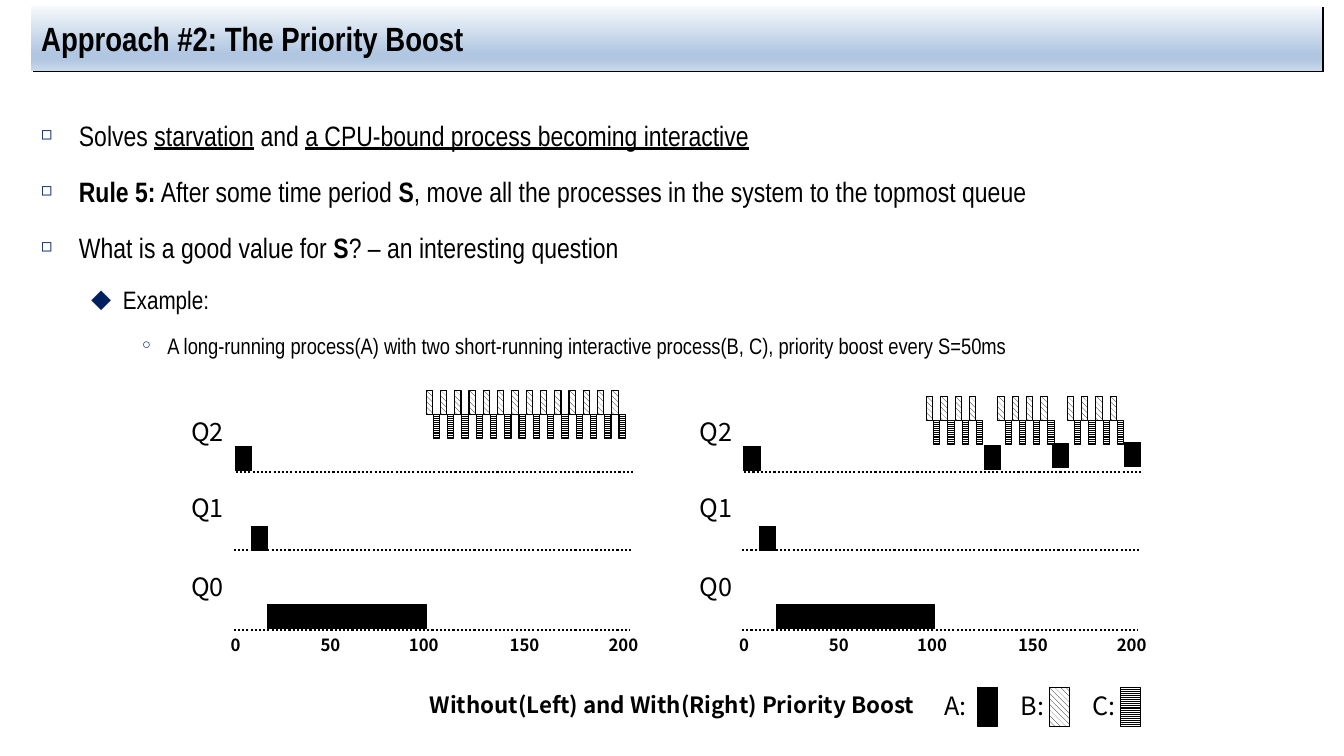
from dataclasses import dataclass

from lxml import etree
from pptx import Presentation, util as u
from pptx.dml.color import RGBColor
from pptx.enum import dml, shapes, text
from pptx.oxml import parse_xml
from pptx.oxml.ns import nsdecls, qn
from pptx.shapes.autoshape import Shape
from pptx.shapes.shapetree import GroupShapes, SlideShapes
from pptx.slide import Slide
from pptx.text.text import _Paragraph as Paragraph

COLORS = {"ink": "000000", "paper": "FFFFFF", "bullet": "002060"}
TITLE_GRADIENT = {0: "F6F9FC", 74: "B0C6E1", 83: "B0C6E1", 100: "CAD9EB"}
BODY_FONT, CHART_FONT = "Arial Narrow", "Noto Sans CJK KR"
PATTERNS = {
    "B": dml.MSO_PATTERN.WIDE_DOWNWARD_DIAGONAL,
    "C": dml.MSO_PATTERN.LIGHT_HORIZONTAL,
}
BAR_HEIGHT, PULSE_WIDTH, PULSE_PITCH, SLICE_WIDTH = 0.61, 0.16, 0.36, 0.41
QUEUE_LABEL_TOPS = {"Q2": 10.36, "Q1": 12.27, "Q0": 14.27}
TIME_CENTERS = {"0": 0, "50": 2.39, "100": 4.74, "150": 7.28, "200": 9.77}


@dataclass
class Span:
    text: str
    bold: bool = False
    underline: bool = False


@dataclass
class Level:
    indent: float
    hanging: float
    size: int
    bullet: str
    bullet_percent: int
    bullet_font: str = BODY_FONT


@dataclass
class Bar:
    process: str
    left: float
    top: float
    width: float = SLICE_WIDTH
    height: float = BAR_HEIGHT


@dataclass
class Baseline:
    start: float
    end: float
    top: float


@dataclass
class Panel:
    """Horizontal lengths inside a panel count from its time origin."""
    origin: float
    pulse_top: float
    bursts: list[float]
    pulses_per_burst: int
    boosts: list[Bar]


@dataclass
class LegendEntry:
    process: str
    label_center: float
    swatch_left: float


LEVELS = [
    Level(0.95, 0.95, 20, "◻", 65),
    Level(2.06, 0.79, 18, "◆", 80, CHART_FONT),
    Level(3.18, 0.64, 16, "○", 65),
]
BODY = [
    (0, [Span("Solves "), Span("starvation", underline=True), Span(" and "),
         Span("a CPU-bound process becoming interactive", underline=True)]),
    (0, [Span("Rule 5:", bold=True), Span(" After some time period "), Span("S", bold=True),
         Span(", move all the processes in the system to the topmost queue")]),
    (0, [Span("What is a good value for "), Span("S", bold=True),
         Span("? – an interesting question")]),
    (1, [Span("Example:")]),
    (2, [Span("A long-running process(A) with two short-running interactive process(B, C), "
              "priority boost every S=50ms")]),
]
BASELINES = [Baseline(0, 10, 11.89), Baseline(-0.05, 9.96, 13.87), Baseline(-0.05, 9.94, 15.88)]
LONG_JOB = [Bar("A", 0, 11.25), Bar("A", 0.39, 13.26), Bar("A", 0.81, 15.24, width=3.99)]
PANELS = [
    Panel(5.94, 9.83, [4.8], 14, []),
    Panel(18.75, 9.98, [4.6, 6.4, 8.15], 4,
          [Bar("A", 6.05, 11.23), Bar("A", 7.77, 11.18), Bar("A", 9.58, 11.15)]),
]
LEGEND = [
    LegendEntry("A", 24.08, 24.64),
    LegendEntry("B", 26.02, 26.44),
    LegendEntry("C", 27.83, 28.24),
]


def rgb(name: str) -> RGBColor:
    return RGBColor.from_string(COLORS[name])


def set_font(paragraph: Paragraph, name: str, size: float, bold: bool = False) -> None:
    font = paragraph.font
    font.name, font.size, font.bold = name, u.Pt(size), bold
    font.color.rgb = rgb("ink")


def add_title(slide: Slide) -> None:
    shape = slide.shapes.add_shape(shapes.MSO_SHAPE.RECTANGLE,
                                   u.Cm(0.79), u.Cm(0.15), u.Cm(32.54), u.Cm(1.63))
    shape.line.fill.background()
    stops = "".join(f'<a:gs pos="{position * 1000}"><a:srgbClr val="{color}"/></a:gs>'
                    for position, color in TITLE_GRADIENT.items())
    gradient = parse_xml(f'<a:gradFill {nsdecls("a")} rotWithShape="1"><a:gsLst>{stops}</a:gsLst>'
                         '<a:lin ang="5400000" scaled="0"/></a:gradFill>')
    shadow = parse_xml(f'<a:effectLst {nsdecls("a")}><a:outerShdw dist="17780" dir="2700000" '
                       f'algn="ctr" rotWithShape="0"><a:srgbClr val="{COLORS["ink"]}"/>'
                       '</a:outerShdw></a:effectLst>')
    properties = shape._element.spPr
    properties.find(qn("a:prstGeom")).addnext(gradient)
    properties.append(shadow)
    frame = shape.text_frame
    frame.vertical_anchor = text.MSO_ANCHOR.MIDDLE
    paragraph = frame.paragraphs[0]
    paragraph.text = "Approach #2: The Priority Boost"
    paragraph.alignment = text.PP_ALIGN.LEFT
    set_font(paragraph, BODY_FONT, 24, bold=True)


def add_bullet(paragraph: Paragraph, level: Level) -> None:
    properties = paragraph._p.get_or_add_pPr()
    properties.set("marL", str(u.Cm(level.indent)))
    properties.set("indent", str(-u.Cm(level.hanging)))
    color = etree.SubElement(properties, qn("a:buClr"))
    etree.SubElement(color, qn("a:srgbClr"), val=COLORS["bullet"])
    etree.SubElement(properties, qn("a:buSzPct"), val=str(level.bullet_percent * 1000))
    etree.SubElement(properties, qn("a:buFont"), typeface=level.bullet_font)
    etree.SubElement(properties, qn("a:buChar"), char=level.bullet)


def add_body(slide: Slide) -> None:
    box = slide.shapes.add_textbox(u.Cm(0.79), u.Cm(2.44), u.Cm(32.54), u.Cm(15.29))
    frame = box.text_frame
    frame.word_wrap = True
    for index, (depth, spans) in enumerate(BODY):
        level = LEVELS[depth]
        paragraph = frame.add_paragraph() if index else frame.paragraphs[0]
        paragraph.level = depth
        add_bullet(paragraph, level)
        paragraph.line_spacing = 1.5
        paragraph.space_before = u.Pt(0.2 * level.size if index else 0)
        set_font(paragraph, BODY_FONT, level.size)
        for span in spans:
            run = paragraph.add_run()
            run.text = span.text
            run.font.bold, run.font.underline = span.bold, span.underline


def add_label(tree: SlideShapes | GroupShapes, label: str, left: float, top: float, width: float,
              height: float, size: int, bold: bool = False,
              alignment: text.PP_ALIGN = text.PP_ALIGN.CENTER) -> None:
    box = tree.add_textbox(u.Cm(left), u.Cm(top), u.Cm(width), u.Cm(height))
    box.text_frame.word_wrap = True
    paragraph = box.text_frame.paragraphs[0]
    paragraph.text, paragraph.alignment = label, alignment
    set_font(paragraph, CHART_FONT, size, bold)


def add_bar(tree: GroupShapes, bar: Bar, origin: float = 0) -> Shape:
    shape = tree.add_shape(shapes.MSO_SHAPE.RECTANGLE, u.Cm(origin + bar.left), u.Cm(bar.top),
                           u.Cm(bar.width), u.Cm(bar.height))
    shape.shadow.inherit = False
    if bar.process in PATTERNS:
        shape.fill.patterned()
        shape.fill.pattern = PATTERNS[bar.process]
        shape.fill.back_color.rgb = rgb("paper")
    else:
        shape.fill.solid()
    shape.fill.fore_color.rgb = rgb("ink")
    shape.line.color.rgb, shape.line.width = rgb("ink"), u.Pt(0.75)
    return shape


def add_baseline(tree: GroupShapes, baseline: Baseline, origin: float) -> None:
    top = u.Cm(baseline.top)
    line = tree.add_connector(shapes.MSO_CONNECTOR.STRAIGHT, u.Cm(origin + baseline.start), top,
                              u.Cm(origin + baseline.end), top)
    line.line.color.rgb, line.line.width = rgb("ink"), u.Pt(1.5)
    line.line.dash_style = dml.MSO_LINE.ROUND_DOT
    etree.SubElement(line._element.spPr, qn("a:effectLst"))


def add_panel(slide: Slide, panel: Panel) -> None:
    tree = slide.shapes.add_group_shape().shapes
    for baseline in BASELINES:
        add_baseline(tree, baseline, panel.origin)
    for label, top in QUEUE_LABEL_TOPS.items():
        add_label(tree, label, panel.origin - 1.8, top, 1.75, 1.02, 18,
                  alignment=text.PP_ALIGN.RIGHT)
    for label, center in TIME_CENTERS.items():
        add_label(tree, label, panel.origin + center - 0.78, 15.88, 1.56, 0.76, 12, bold=True)
    pulses = [Bar(process, burst + i * PULSE_PITCH + shift * PULSE_PITCH / 2,
                  panel.pulse_top + shift * BAR_HEIGHT, PULSE_WIDTH)
              for burst in panel.bursts
              for i in range(panel.pulses_per_burst)
              for shift, process in enumerate(PATTERNS)]
    for bar in LONG_JOB + pulses + panel.boosts:
        add_bar(tree, bar, panel.origin)


def add_legend(slide: Slide) -> None:
    add_label(slide.shapes, "Without(Left) and With(Right) Priority Boost",
              9.14, 17.3, 15.6, 0.94, 16, bold=True)
    tree = slide.shapes.add_group_shape().shapes
    for entry in LEGEND:
        add_bar(tree, Bar(entry.process, entry.swatch_left, 17.32, 0.51, 0.99))
        add_label(tree, f"{entry.process}:", entry.label_center - 0.6, 17.27, 1.2, 1.02, 18)


def main() -> None:
    presentation = Presentation()
    presentation.slide_width, presentation.slide_height = u.Cm(33.87), u.Cm(19.05)
    slide = presentation.slides.add_slide(presentation.slide_layouts[6])
    add_title(slide)
    add_body(slide)
    for panel in PANELS:
        add_panel(slide, panel)
    add_legend(slide)
    presentation.save("out.pptx")


if __name__ == "__main__":
    main()
